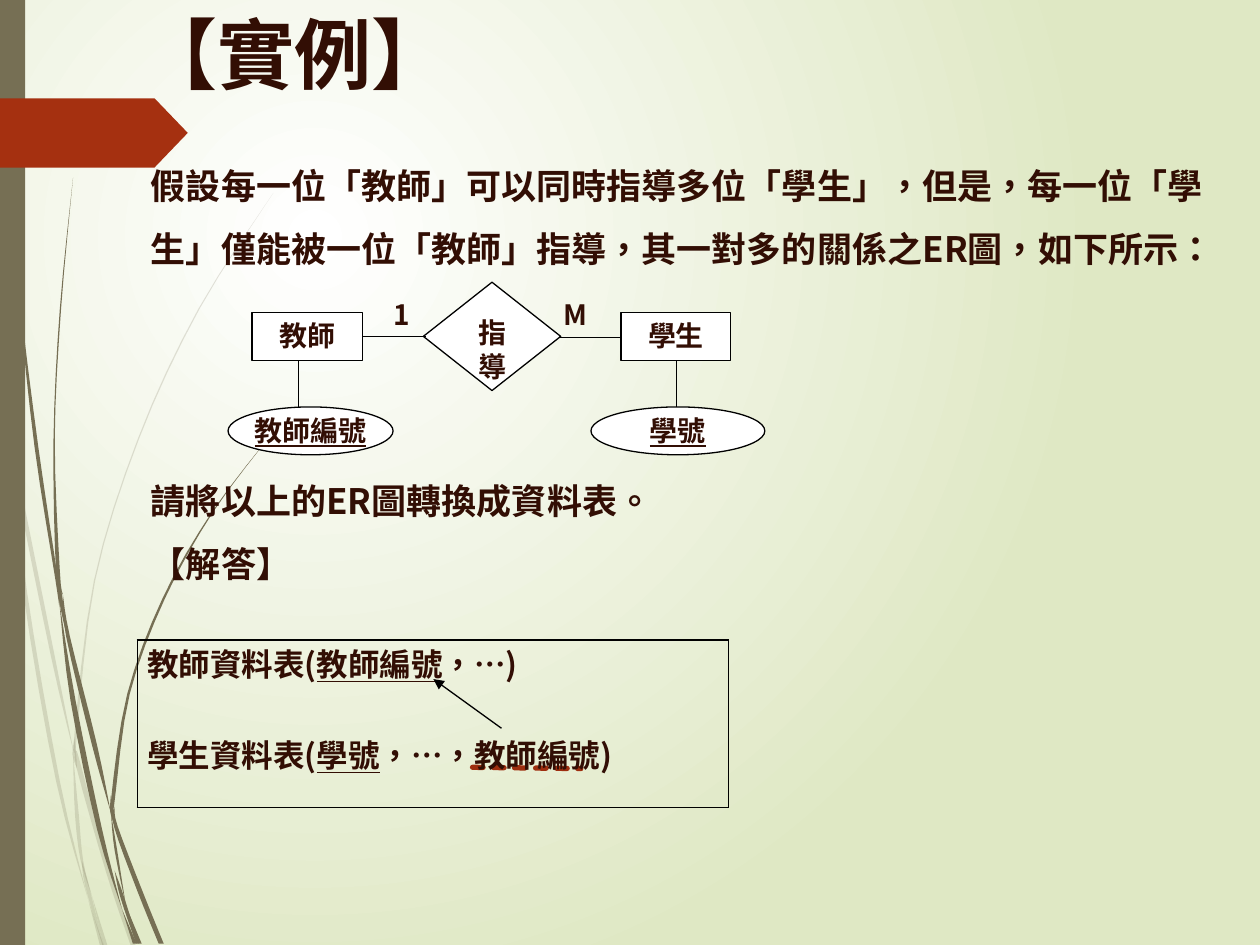
from lxml import etree
from pptx import Presentation
from pptx.dml.color import RGBColor
from pptx.enum import dml, shapes, text
from pptx.oxml import parse_xml
from pptx.oxml.ns import nsdecls, qn
from pptx.util import Inches, Pt

FONT = "Noto Sans CJK SC"
INK = RGBColor(0x32, 0x0E, 0x04)
OLIVE = RGBColor(0x76, 0x6F, 0x54)
RED = RGBColor(0xA5, 0x30, 0x10)
DASH = RGBColor(0x9E, 0x2E, 0x0F)
PALE = RGBColor(0xDF, 0xE8, 0xC4)
WHITE = RGBColor(255, 255, 255)
BLACK = RGBColor(0, 0, 0)
SHAPE = shapes.MSO_SHAPE

# Text content; parts between bars are underlined
TITLE = ["【實例】"]
BODY = [
    "假設每一位「教師」可以同時指導多位「學生」，但是，每一位「學生」僅能被一位「教師」指導，其一對多的關係之ER圖，如下所示：",
    "請將以上的ER圖轉換成資料表。",
    "【解答】",
]
TABLES = ["教師資料表(|教師編號|，…)", "學生資料表(|學號|，…，教師編號)"]

# ER diagram: shape, box, text, inset
NODES = [
    (SHAPE.RECTANGLE, (2, 2.48, 0.88, 0.38), "教師", None),
    (SHAPE.DIAMOND, (3.36, 2.24, 1.09, 0.86), "指導", None),
    (SHAPE.RECTANGLE, (4.93, 2.48, 0.87, 0.38), "學生", None),
    (SHAPE.OVAL, (1.81, 3.23, 1.31, 0.38), "|教師編號|", 0),
    (SHAPE.OVAL, (4.69, 3.23, 1.38, 0.38), "|學號|", 0),
]
LINKS = [(2.88, 2.67, 3.38, 2.67), (4.44, 2.68, 4.94, 2.68),
         (2.37, 3.23, 2.37, 2.86), (5.37, 3.23, 5.37, 2.86)]
LABELS = [("1", 3), ("M", 4.38)]

# Grass pieces as (x, y, width) along the middle
FAINT = [
    [(0, 2.82, 0), (0.01, 2.99, 0.03), (0.07, 3.5, 0.01)],
    [(0.1, 3.45, 0), (0.13, 3.76, 0.03), (0.42, 5.21, 0.03), (0.59, 5.99, 0)],
    [(0.61, 5.96, 0), (0.63, 6.1, 0.04), (0.86, 6.93, 0.03), (1.06, 7.51, 0.04)],
    [(0.73, 7.11, 0), (0.84, 7.51, 0.03)],
    [(0.08, 3.5, 0), (0.2, 4.7, 0.03), (0.46, 6.2, 0.03), (0.7, 7.14, 0)],
    [(0.58, 5.99, 0), (0.61, 6.46, 0.03), (0.65, 6.83, 0.02), (0.73, 7.11, 0)],
    [(2.17, 1.53, 0), (1.58, 2.45, 0.01), (1.1, 3.48, 0.01),
     (0.75, 4.61, 0.01), (0.6, 5.84, 0.02), (0.61, 5.96, 0)],
    [(0.7, 7.14, 0), (0.81, 7.51, 0.03)],
    [(0.59, 5.86, 0), (0.59, 5.99, 0.03), (0.61, 6.1, 0)],
    [(0.65, 6.83, 0), (0.69, 7.03, 0.03), (0.82, 7.51, 0.01)],
]
DARK = [
    [(0.02, 0, 0.01), (0.05, 1.1, 0.01), (0.15, 2.33, 0.01),
     (0.29, 3.55, 0.03), (0.45, 4.6, 0.02), (0.47, 4.81, 0)],
    [(0.5, 4.72, 0), (0.54, 5.05, 0.03), (0.75, 5.91, 0.04), (0.88, 6.45, 0)],
    [(0.91, 6.41, 0), (0.92, 6.56, 0.03), (1.11, 7.07, 0.04), (1.28, 7.49, 0.04)],
    [(0.47, 4.77, 0), (0.58, 5.56, 0.04), (0.79, 6.58, 0.04), (0.97, 7.22, 0)],
    [(0.58, 1.41, 0), (0.48, 2.45, 0.01), (0.43, 3.49, 0.01),
     (0.46, 4.53, 0.03), (0.5, 4.72, 0)],
    [(1, 7.19, 0), (1.11, 7.49, 0.03)],
    [(0.45, 4.49, 0), (0.48, 4.74, 0.03), (0.53, 5.05, 0)],
    [(2.16, 3.44, 0), (1.69, 4.06, 0.01), (1.3, 4.75, 0.02),
     (1.02, 5.51, 0.02), (0.9, 6.32, 0.03), (0.91, 6.41, 0)],
    [(0.97, 7.22, 0), (1.07, 7.49, 0.03)],
    [(0.88, 6.45, 0), (0.92, 6.75, 0.02), (1, 7.19, 0)],
    [(0.88, 6.31, 0), (0.89, 6.44, 0.03), (0.91, 6.56, 0)],
    [(0.91, 6.91, 0), (0.97, 7.12, 0.03), (1.09, 7.49, 0.02)],
]


def write(frame, paras, size=16, align=None, inset=None, gaps=(), lead=None):
    """Fill a text frame; gaps maps a paragraph number to space before it."""
    frame.word_wrap = True
    frame.vertical_anchor = text.MSO_ANCHOR.TOP
    if inset is not None:
        frame.margin_left = frame.margin_right = Inches(inset)
        frame.margin_top = frame.margin_bottom = 0
    for i, line in enumerate(paras):
        para = frame.add_paragraph() if i else frame.paragraphs[0]
        para.alignment, para.line_spacing = align, lead
        if i in gaps:
            para.space_before = Pt(gaps[i])
        for n, part in enumerate(line.split("|")):
            if not part:
                continue
            run = para.add_run()
            run.text = part
            font = run.font
            font.name, font.size, font.bold = FONT, Pt(size), True
            font.color.rgb = INK
            if n % 2:
                font.underline = True
            run._r.rPr.set("lang", "zh-TW")
            etree.SubElement(run._r.rPr, qn("a:ea")).set("typeface", FONT)


def label(slide, box, paras, **form):
    frame = slide.shapes.add_textbox(*map(Inches, box)).text_frame
    write(frame, paras, **form)


def paint(shape, fill, line=None):
    shape.shadow.inherit = False
    shape.fill.solid()
    shape.fill.fore_color.rgb = fill
    if line is None:
        shape.line.fill.background()
    else:
        shape.line.color.rgb = line
        shape.line.width = Pt(0.75)


def link(slide, ends, color=BLACK, width=0.75):
    wire = slide.shapes.add_connector(
        shapes.MSO_CONNECTOR.STRAIGHT, *map(Inches, ends))
    wire.line.color.rgb = color
    wire.line.width = Pt(width)
    etree.SubElement(wire._element.spPr, qn("a:effectLst"))
    return wire


def curve(knots, steps=4):
    """Smooth points through the knots (Catmull-Rom)."""
    ends = [knots[0], *knots, knots[-1]]
    for quad in zip(ends, ends[1:], ends[2:], ends[3:]):
        for t in (k / steps for k in range(steps)):
            yield tuple(
                q + t / 2 * (r - p + t * (2 * p - 5 * q + 4 * r - s
                                          + t * (3 * q - p - 3 * r + s)))
                for p, q, r, s in zip(*quad))
    yield knots[-1]


def blade(slide, knots, alpha=None):
    mid = list(curve(knots))
    edge = [(Inches(x - w / 2), Inches(y)) for x, y, w in mid]
    edge += [(Inches(x + w / 2), Inches(y)) for x, y, w in reversed(mid)]
    pen = slide.shapes.build_freeform(*edge[0])
    pen.add_line_segments(edge[1:])
    leaf = pen.convert_to_shape()
    paint(leaf, OLIVE)
    if alpha:
        color = leaf._element.spPr.find(".//" + qn("a:srgbClr"))
        etree.SubElement(color, qn("a:alpha")).set("val", str(alpha * 1000))


def backdrop(slide):
    fill = slide.background.fill
    fill.gradient()
    for stop, color, at in zip(fill.gradient_stops, (WHITE, PALE), (0, 1)):
        stop.color.rgb, stop.position = color, at
    grad = slide._element.find(".//" + qn("a:gradFill"))
    grad.remove(grad.find(qn("a:lin")))
    grad.append(parse_xml(
        f'<a:path {nsdecls("a")} path="circle"><a:fillToRect l="50000" '
        't="50000" r="100000" b="100000"/></a:path>'))
    for group, alpha in ((FAINT, 20), (DARK, None)):
        for knots in group:
            blade(slide, knots, alpha)
    bar = slide.shapes.add_shape(SHAPE.RECTANGLE, 0, 0, Inches(0.2), Inches(7.5))
    paint(bar, OLIVE)
    flag = slide.shapes.add_shape(
        SHAPE.PENTAGON, 0, Inches(0.78), Inches(1.49), Inches(0.55))
    flag.adjustments[0] = 0.48
    paint(flag, RED)


def answer(slide):
    box = map(Inches, (1.09, 5.08, 4.69, 1.33))
    grid = slide.shapes.add_table(1, 1, *box).table
    grid.first_row = grid.horz_banding = False
    cell = grid.cell(0, 0)
    write(cell.text_frame, TABLES, size=18, gaps={1: 26})
    cell.margin_left = cell.margin_right = Inches(0.08)
    cell.margin_top = cell.margin_bottom = 0
    cell.fill.background()
    for i, side in enumerate("LRTB"):
        cell._tc.tcPr.insert(i, parse_xml(
            f'<a:ln{side} {nsdecls("a")} w="12700"><a:solidFill>'
            f'<a:srgbClr val="{BLACK}"/></a:solidFill></a:ln{side}>'))


def main():
    deck = Presentation()
    deck.slide_width, deck.slide_height = Inches(10), Inches(7.5)
    slide = deck.slides.add_slide(deck.slide_layouts[6])
    backdrop(slide)
    label(slide, (1.02, 0, 8.98, 1.25), TITLE, size=44)
    label(slide, (1.1, 1.09, 8.9, 3.64), BODY, size=20, lead=1.5, gaps={1: 108})
    # ER diagram
    mid = text.PP_ALIGN.CENTER
    for kind, box, words, inset in NODES:
        node = slide.shapes.add_shape(kind, *map(Inches, box))
        paint(node, WHITE, BLACK)
        write(node.text_frame, [words], align=mid, inset=inset)
    for ends in LINKS:
        link(slide, ends)
    for words, x in LABELS:
        label(slide, (x, 2.36, 0.38, 0.25), [words], align=mid, inset=0)
    # Foreign key mark, answer table and reference arrow
    mark = link(slide, (3.75, 6.09, 4.61, 6.1), DASH, 3)
    mark.line.dash_style = dml.MSO_LINE.SQUARE_DOT
    mark.line._ln.set("cap", "rnd")
    answer(slide)
    arrow = link(slide, (3.98, 5.78, 3.44, 5.39))
    etree.SubElement(arrow.line._ln, qn("a:tailEnd")).set("type", "triangle")
    deck.save("out.pptx")


main()
